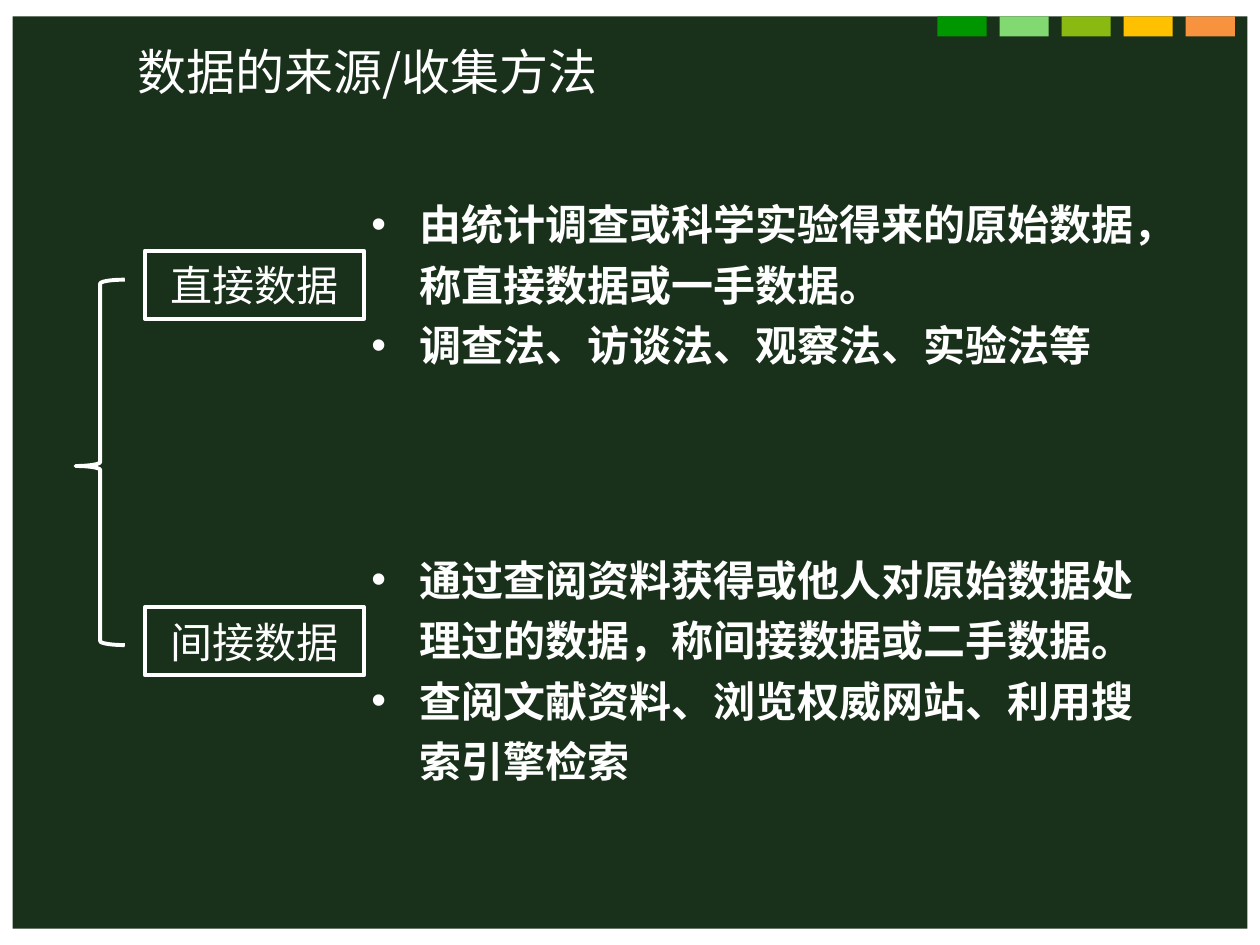
from lxml import etree
from pptx import Presentation
from pptx.dml.color import RGBColor
from pptx.enum import shapes, text
from pptx.oxml.ns import qn
from pptx.util import Inches, Pt

FONT = "Noto Sans CJK SC"
WHITE = RGBColor(0xFF, 0xFF, 0xFF)
BOARD_GREEN = RGBColor(0x19, 0x31, 0x1A)
TAB_COLOURS = [
    RGBColor(0x00, 0x96, 0x00),
    RGBColor(0x82, 0xD9, 0x71),
    RGBColor(0x8A, 0xBA, 0x12),
    RGBColor(0xFF, 0xC0, 0x00),
    RGBColor(0xF7, 0x92, 0x3F),
]

TITLE = "数据的来源/收集方法"
# Label, label top, description top, description height, bullets
DATA_KINDS = [
    ("直接数据", 1.99, 1.45, 1.55,
     ["由统计调查或科学实验得来的原始数据，称直接数据或一手数据。",
      "调查法、访谈法、观察法、实验法等"]),
    ("间接数据", 4.82, 4.27, 2.04,
     ["通过查阅资料获得或他人对原始数据处理过的数据，称间接数据或二手数据。",
      "查阅文献资料、浏览权威网站、利用搜索引擎检索"]),
]


def set_values(target, values):
    for name, value in values.items():
        setattr(target, name, value)


def add_span(para, words, size, bold=False):
    """Add a white run with the font set for Latin and East Asian text."""
    span = para.add_run()
    span.text = words
    set_values(span.font, {"size": Pt(size), "bold": bold, "name": FONT})
    span.font.color.rgb = WHITE
    etree.SubElement(span.font._element, qn("a:ea"), typeface=FONT)


def set_hanging_indent(para, inches):
    properties = para._p.get_or_add_pPr()
    properties.set("marL", str(Inches(inches)))
    properties.set("indent", str(-Inches(inches)))
    return properties


def add_block(page, place, colour):
    block = page.shapes.add_shape(
        shapes.MSO_SHAPE.RECTANGLE, *map(Inches, place))
    block.shadow.inherit = False
    block.fill.solid()
    block.fill.fore_color.rgb = colour
    block.line.fill.background()


def add_outline(page, kind, place):
    """Add an unfilled shape with a white line."""
    outline = page.shapes.add_shape(kind, *map(Inches, place))
    outline.shadow.inherit = False
    outline.fill.background()
    outline.line.color.rgb = WHITE
    outline.line.width = Pt(2.25)
    return outline


def add_board(page):
    add_block(page, (0.1, 0.13, 9.8, 7.24), BOARD_GREEN)
    for index, colour in enumerate(TAB_COLOURS):
        add_block(page, (7.44 + 0.4925 * index, 0.13, 0.39, 0.16), colour)


def format_title(page):
    title = page.shapes.title
    # The placeholder must lie in front of the board.
    title.element.getparent().append(title.element)
    set_values(title, {"left": Inches(0.99), "top": Inches(0.28),
                       "width": Inches(4.82), "height": Inches(0.57)})
    set_values(title.text_frame, {
        "word_wrap": True,
        "auto_size": text.MSO_AUTO_SIZE.NONE,
        "vertical_anchor": text.MSO_ANCHOR.TOP,
    })
    para = title.text_frame.paragraphs[0]
    set_hanging_indent(para, 0.5)
    para.alignment = text.PP_ALIGN.LEFT
    add_span(para, TITLE, 28)


def add_label(page, words, top):
    label = add_outline(page, shapes.MSO_SHAPE.RECTANGLE,
                        (1.15, top, 1.74, 0.54))
    label.text_frame.vertical_anchor = text.MSO_ANCHOR.MIDDLE
    para = label.text_frame.paragraphs[0]
    para.alignment = text.PP_ALIGN.CENTER
    add_span(para, words, 24)


def add_description(page, bullets, top, height):
    box = page.shapes.add_textbox(
        *map(Inches, (2.85, top, 6.53, height)))
    frame = box.text_frame
    set_values(frame, {"word_wrap": True,
                       "auto_size": text.MSO_AUTO_SIZE.SHAPE_TO_FIT_TEXT})
    for index, words in enumerate(bullets):
        para = frame.add_paragraph() if index else frame.paragraphs[0]
        properties = set_hanging_indent(para, 0.38)
        etree.SubElement(properties, qn("a:buFont"), typeface="Arial")
        etree.SubElement(properties, qn("a:buChar"), char="•")
        para.line_spacing = 1.2
        add_span(para, words, 24, bold=True)


def add_brace(page):
    brace = add_outline(page, shapes.MSO_SHAPE.LEFT_BRACE,
                        (0.6, 2.22, 0.39, 2.9))
    brace.adjustments[0] = 0.08
    brace.adjustments[1] = 0.51


def main():
    deck = Presentation()
    set_values(deck, {"slide_width": Inches(10), "slide_height": Inches(7.5)})
    page = deck.slides.add_slide(deck.slide_layouts.get_by_name("Title Only"))
    add_board(page)
    format_title(page)
    for label, label_top, top, height, bullets in DATA_KINDS:
        add_description(page, bullets, top, height)
        add_label(page, label, label_top)
    add_brace(page)
    deck.save("out.pptx")


if __name__ == "__main__":
    main()
